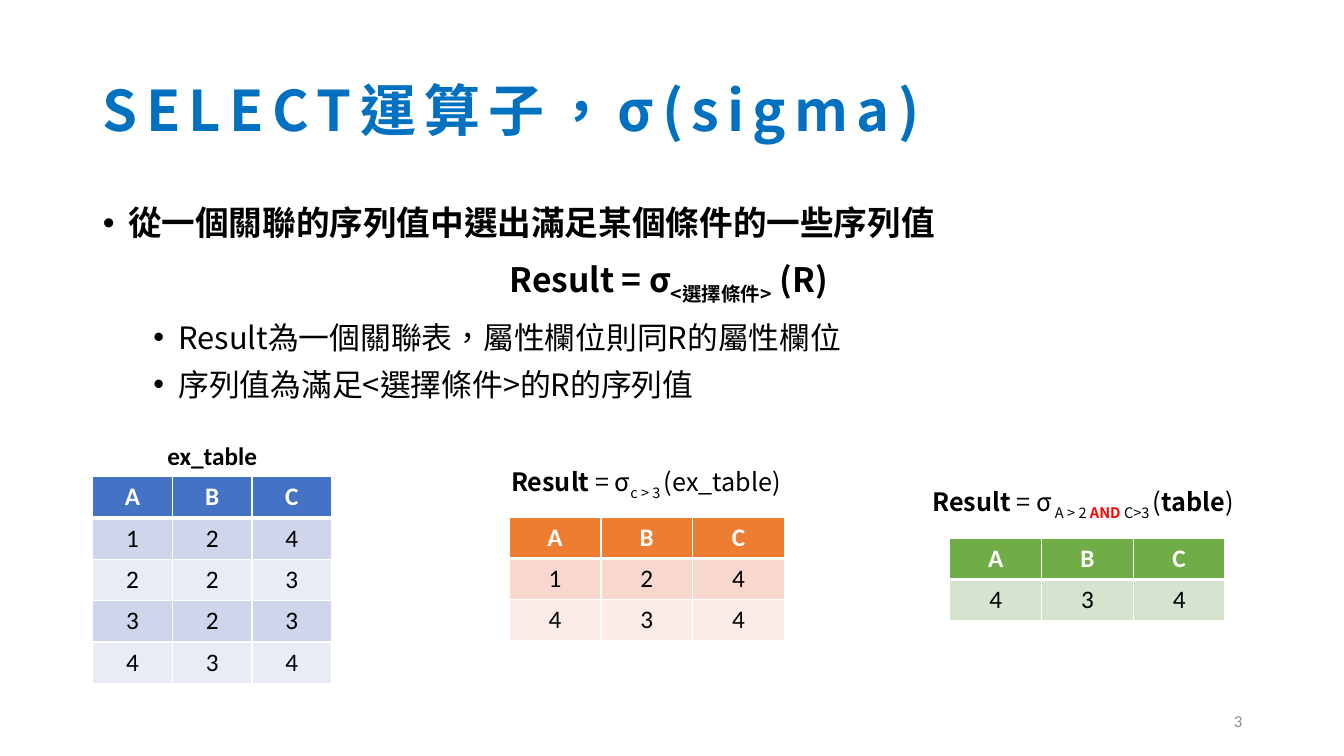
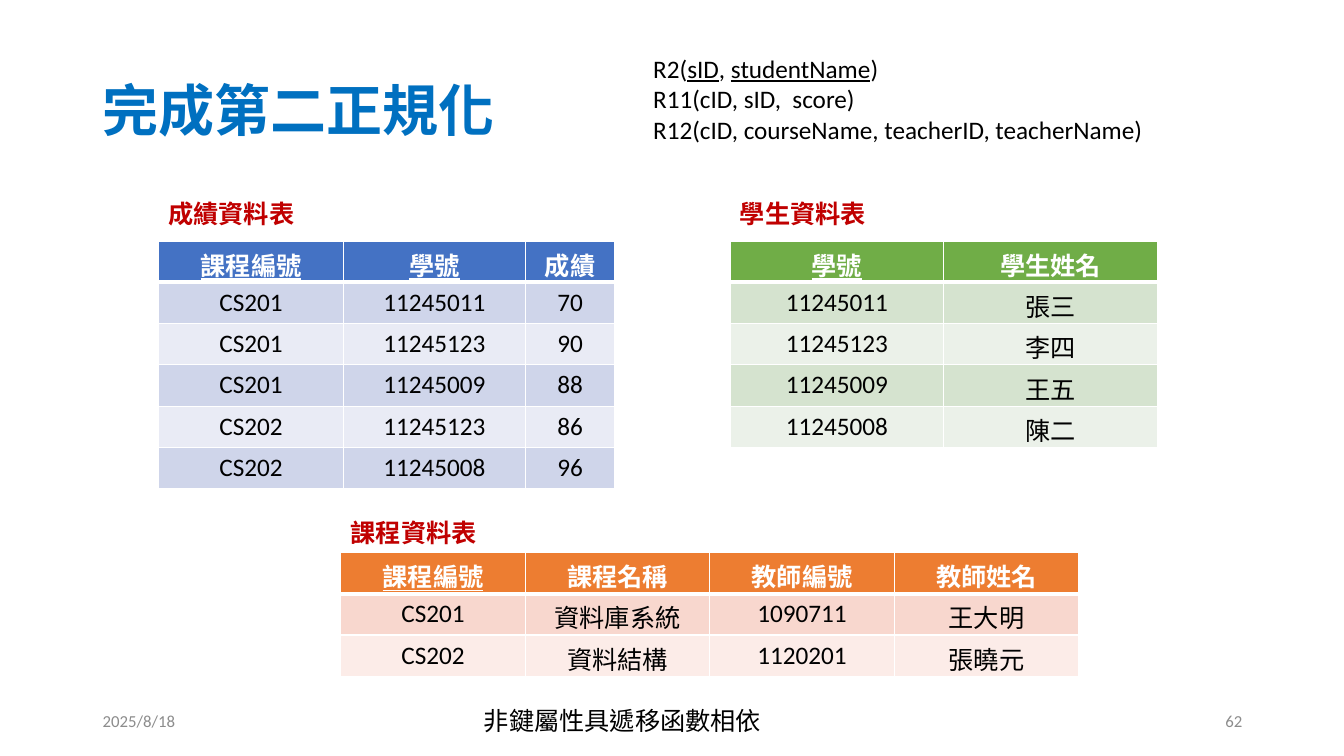
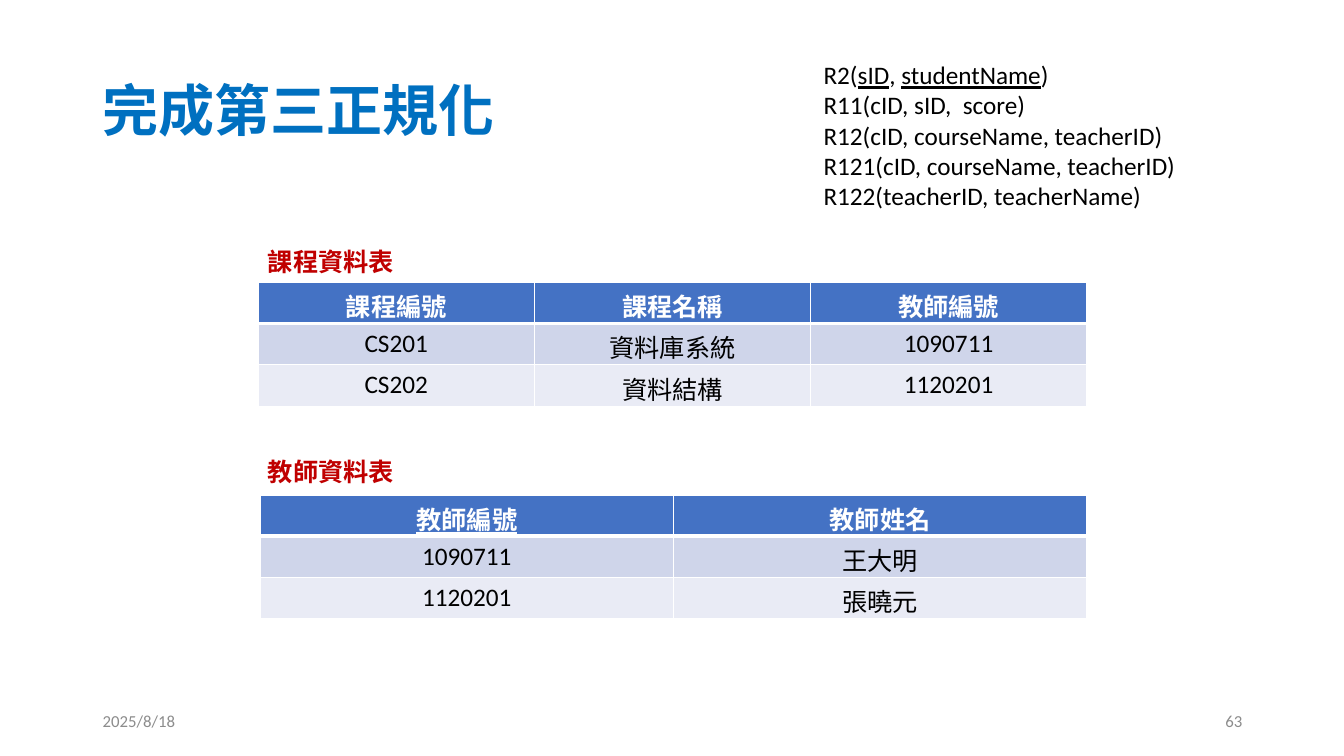
from lxml.etree import SubElement
from pptx import Presentation
from pptx.dml.color import RGBColor
from pptx.enum.lang import MSO_LANGUAGE_ID
from pptx.enum.text import MSO_ANCHOR, MSO_AUTO_SIZE, PP_ALIGN
from pptx.oxml.ns import qn
from pptx.util import Inches, Pt

WHITE = RGBColor(0xFF, 0xFF, 0xFF)
BLACK = RGBColor(0x00, 0x00, 0x00)
RED = RGBColor(0xFF, 0x00, 0x00)
TITLE_BLUE = RGBColor(0x00, 0x70, 0xC0)
CAPTION_RED = RGBColor(0xC0, 0x00, 0x00)
FOOTER_GRAY = RGBColor(0x8C, 0x8C, 0x8C)

# Header, odd row, even row
BLUE = (RGBColor(0x44, 0x72, 0xC4), RGBColor(0xCF, 0xD5, 0xEA), RGBColor(0xE9, 0xEB, 0xF5))
ORANGE = (RGBColor(0xED, 0x7D, 0x31), RGBColor(0xF8, 0xD7, 0xCE), RGBColor(0xFC, 0xEC, 0xE8))
GREEN = (RGBColor(0x70, 0xAD, 0x47), RGBColor(0xD5, 0xE3, 0xCF), RGBColor(0xEB, 0xF1, 0xE9))

LATIN_FONT = "Calibri"
CJK_FONT = "Noto Sans CJK SC"
TITLE_AND_CONTENT, TITLE_ONLY = 1, 5
MARGIN, CONTENT_WIDTH = 0.92, 11.5
ROW_HEIGHT = 0.41

# Run styles
PLAIN = {}
REGULAR = {"bold": False}
BOLD = {"bold": True}
UNDERLINED = {"underline": True}
SUBSCRIPT = {"subscript": True}
SMALL_REGULAR = {"bold": False, "subscript": True}
SMALL_RED = {"bold": True, "subscript": True, "color": RED}


def place(shape, left, top, width, height):
    shape.left, shape.top = Inches(left), Inches(top)
    shape.width, shape.height = Inches(width), Inches(height)


def set_bullet(paragraph, left, character=None):
    properties = paragraph._p.get_or_add_pPr()
    properties.set("marL", str(Inches(left)))
    properties.set("indent", str(Inches(-0.25 if character else 0)))
    if character:
        SubElement(properties, qn("a:buFont"), typeface="Arial")
        SubElement(properties, qn("a:buChar"), char=character)
    else:
        SubElement(properties, qn("a:buNone"))


def set_borders(cell, bottom):
    """Draw white cell borders, with the bottom one at its own width."""
    properties = cell._tc.get_or_add_tcPr()
    for side, width in (("L", 1), ("R", 1), ("T", 1), ("B", bottom)):
        line = SubElement(properties, qn(f"a:ln{side}"), w=str(Pt(width)))
        fill = SubElement(line, qn("a:solidFill"))
        SubElement(fill, qn("a:srgbClr"), val=str(WHITE))


class Deck:
    def __init__(self):
        self.presentation = Presentation()
        self.presentation.slide_width = Inches(13.33)
        self.presentation.slide_height = Inches(7.5)
        self.slide = None

    def fill_paragraph(self, paragraph, content, size=18, color=BLACK, bold=False,
                       font_name=LATIN_FONT, align=PP_ALIGN.LEFT, underline=None,
                       spacing=None):
        """Fill a paragraph from a string or from (text, run style) pairs."""
        paragraph.alignment = align
        font = paragraph.font
        font.size, font.bold, font.underline = Pt(size), bold, underline
        font.color.rgb, font.name = color, font_name
        font.language_id = MSO_LANGUAGE_ID.TRADITIONAL_CHINESE
        defaults = paragraph._p.pPr.find(qn("a:defRPr"))
        SubElement(defaults, qn("a:ea"), typeface=CJK_FONT)
        if spacing:
            defaults.set("spc", str(spacing * 100))
        runs = [(content, PLAIN)] if isinstance(content, str) else content
        for text, style in runs:
            run = paragraph.add_run()
            run.text = text
            if "bold" in style:
                run.font.bold = style["bold"]
            if "underline" in style:
                run.font.underline = style["underline"]
            if "color" in style:
                run.font.color.rgb = style["color"]
            if "subscript" in style:
                run._r.get_or_add_rPr().set("baseline", "-25000")

    def add_slide(self, title, number, layout=TITLE_ONLY, date=None, **title_style):
        layouts = self.presentation.slide_layouts
        self.slide = self.presentation.slides.add_slide(layouts[layout])
        shape = self.slide.shapes.title
        place(shape, MARGIN, 0.4, CONTENT_WIDTH, 1.45)
        frame = shape.text_frame
        frame.auto_size = MSO_AUTO_SIZE.NONE
        frame.vertical_anchor = MSO_ANCHOR.MIDDLE
        paragraph = frame.paragraphs[0]
        paragraph.line_spacing = 0.9
        self.fill_paragraph(paragraph, title, 40, TITLE_BLUE, True, **title_style)
        if date:
            self.footer(date, MARGIN, PP_ALIGN.LEFT)
        self.footer(number, 9.42, PP_ALIGN.RIGHT)

    def footer(self, text, left, align):
        self.text([text], left, 6.95, 3, wrap=True, anchor=MSO_ANCHOR.MIDDLE,
                  size=12, color=FOOTER_GRAY, align=align)

    def text(self, lines, left, top, width, height=0.4, wrap=False,
             anchor=MSO_ANCHOR.TOP, **style):
        shape = self.slide.shapes.add_textbox(
            Inches(left), Inches(top), Inches(width), Inches(height))
        frame = shape.text_frame
        frame.word_wrap, frame.vertical_anchor = wrap, anchor
        for index, line in enumerate(lines):
            paragraph = frame.add_paragraph() if index else frame.paragraphs[0]
            self.fill_paragraph(paragraph, line, **style)

    def caption(self, text, left, top):
        self.text([text], left, top, 1.46, color=CAPTION_RED, bold=True)

    def body(self, items):
        """Fill the body placeholder; the kinds are point, formula and detail."""
        shape = self.slide.placeholders[1]
        place(shape, MARGIN, 2, CONTENT_WIDTH, 4.76)
        frame = shape.text_frame
        frame.auto_size = MSO_AUTO_SIZE.NONE
        kinds = {
            "point": (0, 0.25, "•", 0.9, 0, 0, 24, True, PP_ALIGN.LEFT),
            "formula": (0, 0, None, 0.9, 12, 12, 24, True, PP_ALIGN.CENTER),
            "detail": (1, 0.75, "•", 0.8, 6, 6, 22, False, PP_ALIGN.LEFT),
        }
        for index, (kind, content) in enumerate(items):
            level, left, bullet, line, before, after, size, bold, align = kinds[kind]
            paragraph = frame.add_paragraph() if index else frame.paragraphs[0]
            paragraph.level = level
            set_bullet(paragraph, left, bullet)
            paragraph.line_spacing = line
            paragraph.space_before, paragraph.space_after = Pt(before), Pt(after)
            self.fill_paragraph(paragraph, content, size, bold=bold,
                                font_name=CJK_FONT, align=align)

    def table(self, rows, left, top, widths, palette, keys=(), tight=False):
        """Add a banded table; key headers are underlined, tight rows have no bottom margin."""
        header, *bands = palette
        table = self.slide.shapes.add_table(
            len(rows), len(widths), Inches(left), Inches(top),
            Inches(sum(widths)), Inches(ROW_HEIGHT * len(rows))).table
        for column, width in zip(table.columns, widths):
            column.width = Inches(width)
        for row_index, row in enumerate(rows):
            table.rows[row_index].height = Inches(ROW_HEIGHT)
            is_header = row_index == 0
            for column_index, value in enumerate(row):
                cell = table.cell(row_index, column_index)
                set_borders(cell, 3 if is_header else 1)
                cell.fill.solid()
                cell.fill.fore_color.rgb = header if is_header else bands[(row_index - 1) % 2]
                if tight:
                    cell.margin_bottom = 0
                self.fill_paragraph(cell.text_frame.paragraphs[0], value, bold=is_header,
                                    color=WHITE if is_header else BLACK,
                                    align=PP_ALIGN.CENTER,
                                    underline=is_header and value in keys)


def add_select_slide(deck):
    deck.add_slide("SELECT運算子，σ(sigma)", "3", TITLE_AND_CONTENT,
                   font_name=CJK_FONT, spacing=6)
    deck.body([
        ("point", "從一個關聯的序列值中選出滿足某個條件的一些序列值"),
        ("formula", [("Result = σ", PLAIN), ("<選擇條件>", SUBSCRIPT), (" (R) ", PLAIN)]),
        ("detail", "Result為一個關聯表，屬性欄位則同R的屬性欄位"),
        ("detail", "序列值為滿足<選擇條件>的R的序列值"),
    ])
    deck.text(["ex_table"], 1.52, 4.32, 1.17, wrap=True, bold=True, align=PP_ALIGN.CENTER)
    deck.table(["ABC", "124", "223", "323", "434"], 0.92, 4.73, [0.79] * 3, BLUE)
    deck.text([[("Result", PLAIN), (" = σ", REGULAR), ("c > 3 ", SMALL_REGULAR),
                ("(ex_table)", REGULAR)]],
              4.97, 4.58, 2.98, bold=True, font_name=CJK_FONT)
    deck.table(["ABC", "124", "434"], 5.05, 5.13, [0.91] * 3, ORANGE)
    deck.text([[("Result", PLAIN), (" = σ", REGULAR), (" A > 2 ", SMALL_REGULAR),
                ("AND ", SMALL_RED), ("C>3 ", SMALL_REGULAR), ("(", REGULAR),
                ("table", BOLD), (")", REGULAR)]],
              9.15, 4.78, 3.53, bold=True, font_name=CJK_FONT)
    deck.table(["ABC", "434"], 9.42, 5.34, [0.91] * 3, GREEN)


DATE = "2025/8/18"
SHARED_RELATIONS = [
    [("R2(", PLAIN), ("sID", UNDERLINED), (", ", PLAIN),
     ("studentName", UNDERLINED), (")", PLAIN)],
    "R11(cID, sID,  score)",
]


def add_second_form_slide(deck):
    deck.add_slide("完成第二正規化", "62", date=DATE)
    deck.text(SHARED_RELATIONS + ["R12(cID, courseName, teacherID, teacherName)"],
              6.38, 0.48, 5.11, 1.01)
    deck.caption("成績資料表", 1.57, 1.92)
    deck.table([
        ("課程編號", "學號", "成績"),
        ("CS201", "11245011", "70"),
        ("CS201", "11245123", "90"),
        ("CS201", "11245009", "88"),
        ("CS202", "11245123", "86"),
        ("CS202", "11245008", "96"),
    ], 1.57, 2.39, [1.84, 1.8, 0.89], BLUE, keys=("課程編號", "學號"))
    deck.caption("學生資料表", 7.24, 1.92)
    deck.table([
        ("學號", "學生姓名"),
        ("11245011", "張三"),
        ("11245123", "李四"),
        ("11245009", "王五"),
        ("11245008", "陳二"),
    ], 7.24, 2.39, [2.12] * 2, GREEN, keys=("學號",))
    deck.caption("課程資料表", 3.38, 5.08)
    deck.table([
        ("課程編號", "課程名稱", "教師編號", "教師姓名"),
        ("CS201", "資料庫系統", "1090711", "王大明"),
        ("CS202", "資料結構", "1120201", "張曉元"),
    ], 3.38, 5.48, [1.83] * 4, ORANGE, keys=("課程編號",), tight=True)
    deck.text(["非鍵屬性具遞移函數相依"], 4.7, 6.95, 2.98)


def add_third_form_slide(deck):
    deck.add_slide("完成第三正規化", "63", date=DATE)
    deck.text(SHARED_RELATIONS + [
        "R12(cID, courseName, teacherID)",
        "R121(cID, courseName, teacherID)",
        "R122(teacherID, teacherName)",
    ], 8.07, 0.54, 3.8, 1.62)
    deck.caption("課程資料表", 2.56, 2.39)
    deck.table([
        ("課程編號", "課程名稱", "教師編號"),
        ("CS201", "資料庫系統", "1090711"),
        ("CS202", "資料結構", "1120201"),
    ], 2.56, 2.8, [2.74] * 3, BLUE)
    deck.caption("教師資料表", 2.56, 4.48)
    deck.table([
        ("教師編號", "教師姓名"),
        ("1090711", "王大明"),
        ("1120201", "張曉元"),
    ], 2.58, 4.91, [4.1] * 2, BLUE, keys=("教師編號",), tight=True)


def main():
    deck = Deck()
    add_select_slide(deck)
    add_second_form_slide(deck)
    add_third_form_slide(deck)
    deck.presentation.save("out.pptx")


if __name__ == "__main__":
    main()
